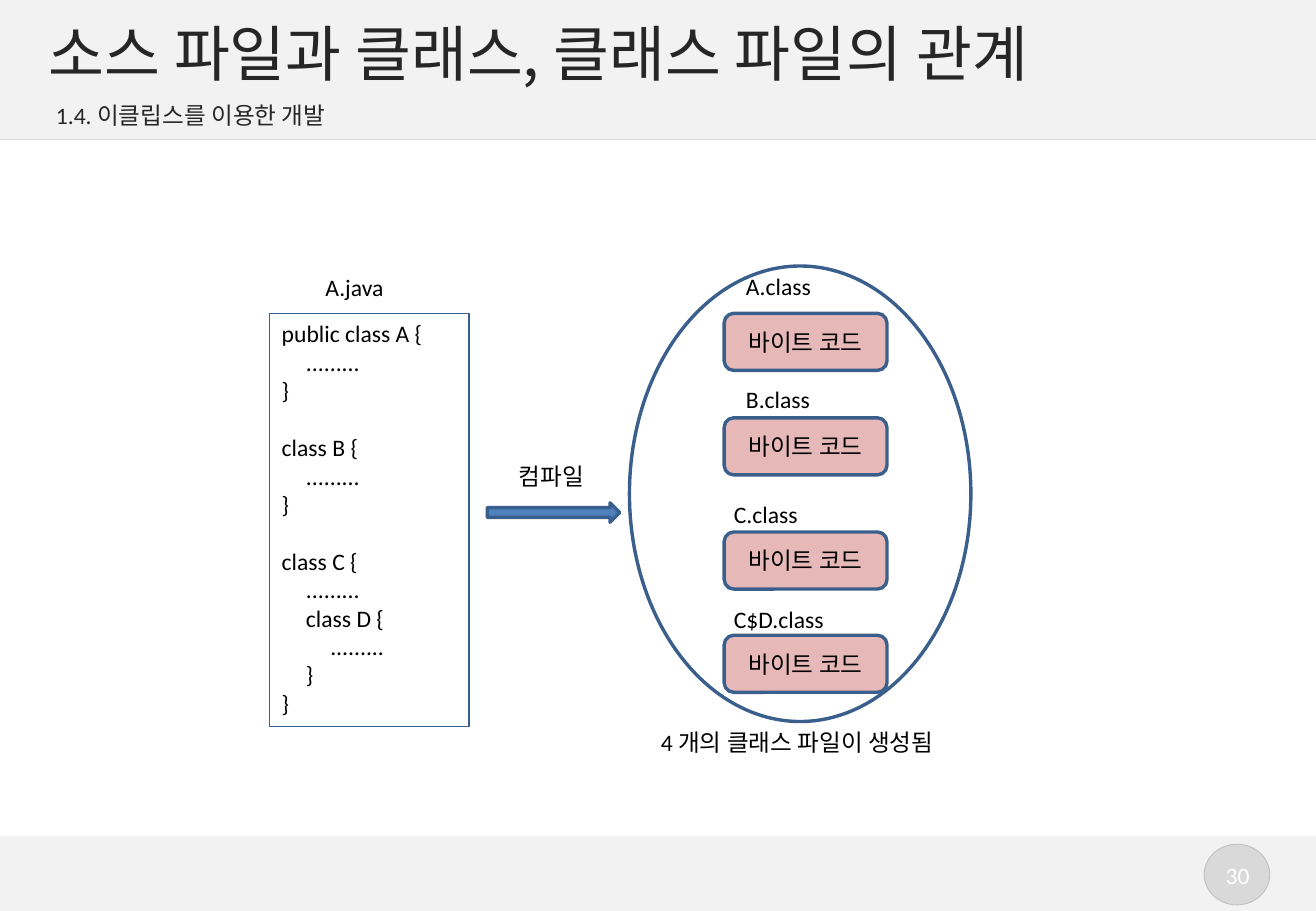
from lxml import etree
from pptx import Presentation
from pptx.dml.color import RGBColor
from pptx.enum import shapes, text
from pptx.oxml.ns import qn
from pptx.util import Inches, Pt

COLORS = {
    "band": "F2F2F2", "rule": "D9D9D9", "badge_line": "BFBFBF",
    "title": "262626", "text": "000000", "white": "FFFFFF",
    "code_line": "376092", "outline": "3A5F8C",
    "bytecode": "E6B9B8", "arrow": "4F81BD",
}
KOREAN_FONT = "Noto Sans CJK KR"
WIDTH, HEIGHT = 10.83, 7.5
INDENT = 0.2
CODE = """public class A {
\t.........
}

class B {
\t.........
}

class C {
\t.........
\tclass D {
\t\t.........
\t}
}"""
# Name, label left, label top, box top
CLASS_FILES = [
    ("A.class", 6.04, 2.19, 2.58),
    ("B.class", 6.04, 3.12, 3.44),
    ("C.class", 5.94, 4.07, 4.38),
    ("C$D.class", 5.94, 4.93, 5.23),
]


def rgb(name):
    return RGBColor.from_string(COLORS[name])


def style_paragraph(paragraph, size=14, color="text", font="Calibri"):
    paragraph.font.name = font
    paragraph.font.size = Pt(size)
    paragraph.font.color.rgb = rgb(color)
    latin = paragraph.font._element.find(qn("a:latin"))
    east_asian = etree.Element(qn("a:ea"), typeface=KOREAN_FONT)
    latin.addnext(east_asian)


def add_shape(slide, kind, box, fill=None, line=None, width=2):
    shape = slide.shapes.add_shape(kind, *map(Inches, box))
    shape.shadow.inherit = False
    if fill:
        shape.fill.solid()
        shape.fill.fore_color.rgb = rgb(fill)
    else:
        shape.fill.background()
    if line:
        shape.line.color.rgb = rgb(line)
        shape.line.width = Pt(width)
    else:
        shape.line.fill.background()
    return shape


def add_label(slide, box, words, wrap=False, margins=(0.1, 0.05, 0.1, 0.05),
              anchor=text.MSO_ANCHOR.TOP, align=text.PP_ALIGN.LEFT, **style):
    frame = slide.shapes.add_textbox(*map(Inches, box)).text_frame
    frame.word_wrap = wrap
    frame.vertical_anchor = anchor
    (frame.margin_left, frame.margin_top,
     frame.margin_right, frame.margin_bottom) = map(Inches, margins)
    paragraph = frame.paragraphs[0]
    paragraph.text = words
    paragraph.alignment = align
    style_paragraph(paragraph, **style)


def add_footer(slide, left, top, width, height):
    add_shape(slide, shapes.MSO_SHAPE.RECTANGLE, (left, top, width, height), "band")
    add_shape(slide, shapes.MSO_SHAPE.OVAL, (left + 9.91, top + 0.07, 0.54, 0.5),
              "rule", "badge_line", 0.5)
    add_label(slide, (left + 9.97, top + 0.16, 0.43, 0.34), "30",
              align=text.PP_ALIGN.CENTER, color="white")


def add_header(slide, left, top, width, height):
    add_shape(slide, shapes.MSO_SHAPE.RECTANGLE, (left, top, width, height), "band")
    bottom = Inches(top + height)
    rule = slide.shapes.add_connector(shapes.MSO_CONNECTOR.STRAIGHT, Inches(left),
                                      bottom, Inches(left + width), bottom)
    rule.line.color.rgb = rgb("rule")
    rule.line.width = Pt(0.75)
    etree.SubElement(rule._element.spPr, qn("a:effectLst"))
    add_label(slide, (left + 0.4, top + 0.13, 10.05, 0.6),
              "소스 파일과 클래스, 클래스 파일의 관계", wrap=True,
              margins=(0, 0, 0, 0), anchor=text.MSO_ANCHOR.MIDDLE,
              size=36, color="title", font=KOREAN_FONT)
    add_label(slide, (left + 0.38, top + 0.78, 10.07, 0.34),
              "1.4. 이클립스를 이용한 개발", wrap=True,
              margins=(0.08, 0.05, 0.1, 0.05), color="title")


def add_source_file(slide, left, top, width, height):
    add_label(slide, (left + 0.36, top - 0.38, 0.69, 0.34), "A.java")
    shape = add_shape(slide, shapes.MSO_SHAPE.RECTANGLE, (left, top, width, height),
                      line="code_line", width=0.75)
    frame = shape.text_frame
    frame.word_wrap = True
    frame.vertical_anchor = text.MSO_ANCHOR.TOP
    paragraph = frame.paragraphs[0]
    for block_index, block in enumerate(CODE.split("\n\n")):
        for line_index, line in enumerate(block.split("\n")):
            if block_index or line_index:
                paragraph = frame.add_paragraph()
            paragraph.text = line
            paragraph.alignment = text.PP_ALIGN.LEFT
            if block_index and not line_index:
                paragraph.space_before = Pt(17)
            tabs = etree.SubElement(paragraph._p.get_or_add_pPr(), qn("a:tabLst"))
            for level in (1, 2):
                etree.SubElement(tabs, qn("a:tab"), algn="l",
                                 pos=str(Inches(INDENT * level)))
            style_paragraph(paragraph)


def add_compile_step(slide, left, top, width, height):
    add_label(slide, (left + 0.16, top - 0.39, 0.79, 0.34), "컴파일")
    add_shape(slide, shapes.MSO_SHAPE.RIGHT_ARROW, (left, top, width, height),
              "arrow", "outline")


def add_class_files(slide, left, top, width, height):
    for name, label_left, label_top, box_top in CLASS_FILES:
        add_label(slide, (label_left, label_top, 0.95, 0.34), name)
        shape = add_shape(slide, shapes.MSO_SHAPE.ROUNDED_RECTANGLE,
                          (left + 0.78, box_top, 1.34, 0.47), "bytecode", "outline")
        shape.text_frame.vertical_anchor = text.MSO_ANCHOR.MIDDLE
        paragraph = shape.text_frame.paragraphs[0]
        paragraph.text = "바이트 코드"
        paragraph.alignment = text.PP_ALIGN.CENTER
        style_paragraph(paragraph)
    add_shape(slide, shapes.MSO_SHAPE.OVAL, (left, top, width, height), line="outline")
    add_label(slide, (left + 0.16, top + height, 2.76, 0.34),
              "4 개의 클래스 파일이 생성됨", wrap=True)


def main():
    presentation = Presentation()
    presentation.slide_width = Inches(WIDTH)
    presentation.slide_height = Inches(HEIGHT)
    slide = presentation.slides.add_slide(presentation.slide_layouts[6])
    add_footer(slide, 0, 6.88, WIDTH, 0.62)
    add_header(slide, 0, 0, WIDTH, 1.15)
    add_source_file(slide, 2.22, 2.58, 1.64, 3.4)
    add_compile_step(slide, 4.01, 4.14, 1.09, 0.16)
    add_class_files(slide, 5.18, 2.19, 2.81, 3.75)
    presentation.save("out.pptx")


if __name__ == "__main__":
    main()
